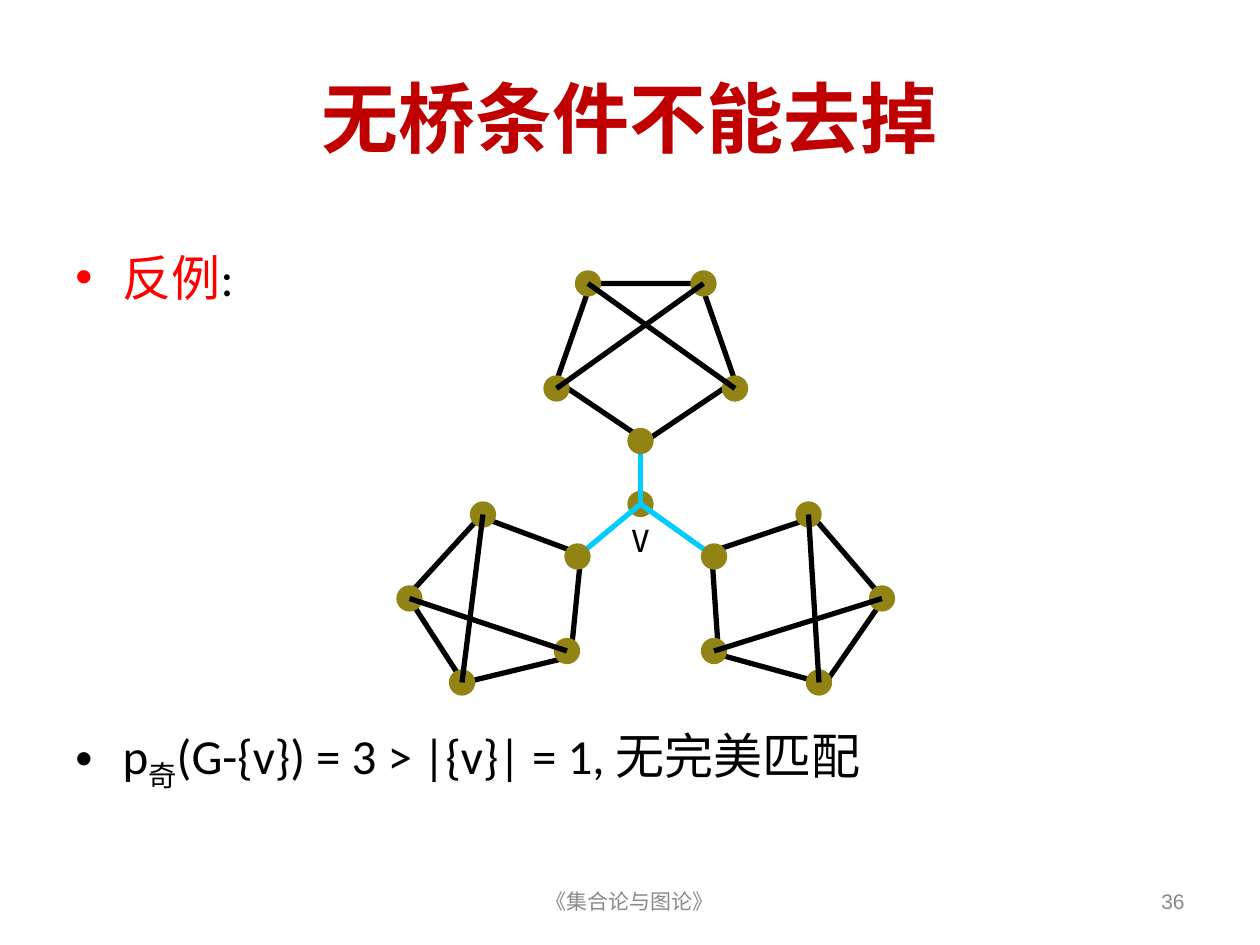
from lxml.etree import SubElement
from pptx import Presentation
from pptx.dml.color import RGBColor
from pptx.enum.shapes import MSO_CONNECTOR, MSO_SHAPE
from pptx.enum.text import MSO_ANCHOR, PP_ALIGN
from pptx.oxml.ns import qn
from pptx.util import Pt

PX = 7620
COLORS = {"title": "C00000", "red": "FF0000", "black": "000000",
          "gray": "898989", "node": "918415", "bridge": "00CCFF"}
NODE = 20
HUB = (230, 220)
CLUSTERS = [
    {"pentagon": (150, 10), "rotation": 180,
     "ring": [(230, 160), (320, 110), (290, 10), (180, 10), (150, 110)]},
    {"pentagon": (10, 230), "rotation": 346.4,
     "ring": [(170, 270), (160, 360), (60, 390), (10, 310), (80, 230)]},
    {"pentagon": (290, 230), "rotation": 15.4,
     "ring": [(300, 270), (300, 360), (400, 390), (460, 310), (390, 230)]},
]


def emu(*values):
    """Turn px lengths into EMU."""
    return [v * PX for v in values]


def color(name):
    """Look up a named colour."""
    return RGBColor.from_string(COLORS[name])


def add_run(p, text, fill, **fmt):
    """Add a run with the given font values."""
    r = p.add_run()
    r.text = text
    r.font.color.rgb = color(fill)
    for key, value in fmt.items():
        setattr(r.font, key, value)
    return r


def add_box(shapes, box, **fmt):
    """Add a wrapping text box and return its first paragraph."""
    tf = shapes.add_textbox(*emu(*box)).text_frame
    tf.word_wrap = True
    for key, value in fmt.items():
        setattr(tf, key, value)
    return tf.paragraphs[0]


def add_title(s, box, text):
    """Place and format the title placeholder."""
    sp = s.shapes.title
    sp.left, sp.top, sp.width, sp.height = emu(*box)
    sp.text_frame.vertical_anchor = MSO_ANCHOR.MIDDLE
    p = sp.text_frame.paragraphs[0]
    p.alignment = PP_ALIGN.CENTER
    add_run(p, text, "title", size=Pt(44), name="Calibri", bold=True)


def add_bullet(s, box, bullet, runs):
    """Add a bulleted line made of (text, colour, baseline) runs."""
    p = add_box(s.shapes, box)
    p.space_before = Pt(7)
    pPr = p._p.get_or_add_pPr()
    pPr.set("marL", str(45 * PX))
    pPr.set("indent", str(-45 * PX))
    SubElement(SubElement(pPr, qn("a:buClr")), qn("a:srgbClr"), val=COLORS[bullet])
    SubElement(pPr, qn("a:buFont"), typeface="Arial")
    SubElement(pPr, qn("a:buChar"), char="•")
    for text, fill, baseline in runs:
        r = add_run(p, text, fill, size=Pt(28), name="Calibri")
        if baseline:
            r.font._element.set("baseline", str(baseline))


def add_footer(s, box, text, align):
    """Add a small gray line at the foot of the slide."""
    p = add_box(s.shapes, box, vertical_anchor=MSO_ANCHOR.MIDDLE)
    p.alignment = align
    add_run(p, text, "gray", size=Pt(12), name="Arial")


def add_outline(shapes, kind, box, line, fill=None, rotation=0):
    """Add a preset shape with a thick line and an optional fill."""
    sp = shapes.add_shape(kind, *emu(*box))
    sp.shadow.inherit = False
    sp.rotation = rotation
    if fill:
        sp.fill.solid()
        sp.fill.fore_color.rgb = color(fill)
    else:
        sp.fill.background()
    sp.line.color.rgb = color(line)
    sp.line.width = Pt(3)


def add_edge(shapes, start, end, fill):
    """Join two points with a straight line."""
    c = shapes.add_connector(MSO_CONNECTOR.STRAIGHT, *emu(*start, *end))
    c.line.color.rgb = color(fill)
    c.line.width = Pt(3)
    SubElement(c._element.spPr, qn("a:effectLst"))


def add_node(shapes, center):
    """Draw a vertex around its centre."""
    x, y = center
    box = (x - NODE // 2, y - NODE // 2, NODE, NODE)
    add_outline(shapes, MSO_SHAPE.OVAL, box, "node", "node")


def add_graph(s, left, top):
    """Draw three pentagon clusters joined to the hub by bridges."""
    shapes = s.shapes.add_group_shape().shapes

    def at(point):
        """Shift a point into the graph's box."""
        return left + point[0], top + point[1]

    for cluster in CLUSTERS:
        add_outline(shapes, MSO_SHAPE.REGULAR_PENTAGON,
                    (*at(cluster["pentagon"]), 170, 150), "black",
                    rotation=cluster["rotation"])
    add_node(shapes, at(HUB))
    rings = [[at(point) for point in cluster["ring"]] for cluster in CLUSTERS]
    for ring in rings:
        add_edge(shapes, ring[0], at(HUB), "bridge")
    for ring in rings:
        for point in ring:
            add_node(shapes, point)
    for _, a, b, c, d in rings:
        add_edge(shapes, a, c, "black")
        add_edge(shapes, b, d, "black")
    p = add_box(shapes, (*at((210, 220)), 50, 60))
    p.space_before = Pt(15)
    add_run(p, "v", "black", size=Pt(24), name="Arial Narrow")


def main():
    """Build the slide and save it."""
    prs = Presentation()
    prs.slide_width, prs.slide_height = emu(1200, 900)
    s = prs.slides.add_slide(prs.slide_layouts[5])
    add_title(s, (60, 36, 1080, 150), "无桥条件不能去掉")
    add_bullet(s, (60, 230, 300, 72), "red",
               [("反例", "red", 0), (":", "black", 0)])
    add_bullet(s, (60, 685, 1080, 72), "black",
               [("p", "black", 0), ("奇", "black", -25000),
                ("(G-{v}) = 3 > |{v}| = 1, 无完美匹配", "black", 0)])
    add_footer(s, (410, 834, 380, 48), "《集合论与图论》", PP_ALIGN.CENTER)
    add_footer(s, (860, 834, 280, 48), "36", PP_ALIGN.RIGHT)
    add_graph(s, 380, 260)
    prs.save("out.pptx")


if __name__ == "__main__":
    main()
